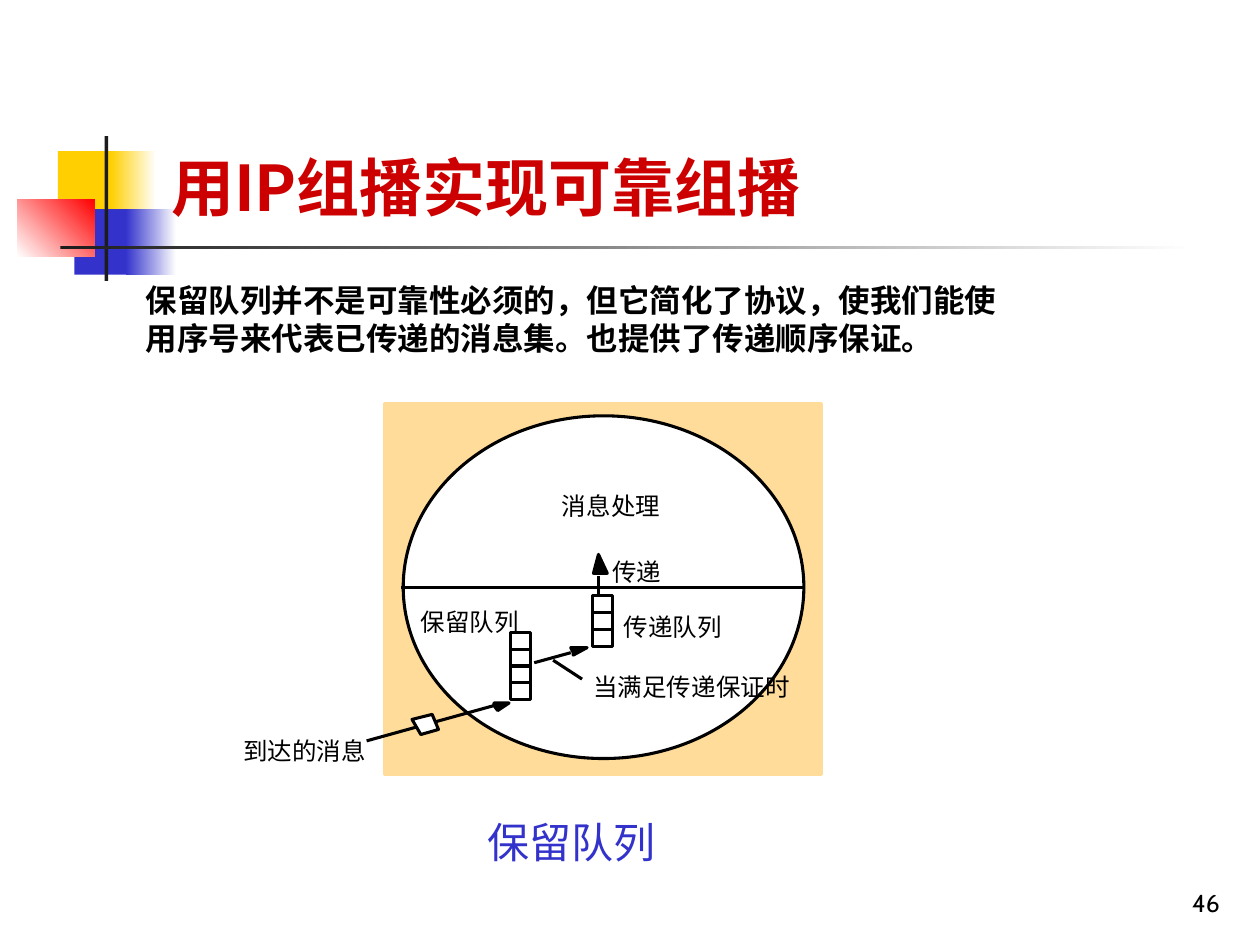
from pptx import Presentation
from pptx.dml.color import RGBColor
from pptx.enum.shapes import MSO_CONNECTOR as Conn, MSO_SHAPE as Shape
from pptx.enum.text import MSO_ANCHOR as Anchor, PP_ALIGN as Align
from pptx.oxml.ns import qn
from pptx.util import Inches, Pt
from lxml.etree import SubElement

COLS, ROWS = 100, 75
BLACK, WHITE, INK = "000000", "FFFFFF", "1C1C1C"
YELLOW, BLUE, RED, SAND = "FFCF01", "3333CC", "FF0000", "FFDC99"


def rgb(value):
    return RGBColor.from_string(value)


class Board:
    cjk = "Noto Sans CJK JP"
    stroke = 1.75

    def __init__(self, prs):
        self.prs = prs
        self.s = prs.slides.add_slide(prs.slide_layouts[6])

    def x(self, col):
        return round(self.prs.slide_width * col / COLS)

    def y(self, row):
        return round(self.prs.slide_height * row / ROWS)

    def box(self, at):
        return self.x(at[0]), self.y(at[1]), self.x(at[2]), self.y(at[3])

    def paint(self, sp, fill, line):
        sp.shadow.inherit = False
        if fill:
            sp.fill.solid()
            sp.fill.fore_color.rgb = rgb(fill)
        else:
            sp.fill.background()
        if line:
            sp.line.color.rgb = rgb(line)
            sp.line.width = Pt(self.stroke)
        else:
            sp.line.fill.background()
        return sp

    def shape(self, at, fill=None, line=None, kind=Shape.RECTANGLE):
        return self.paint(self.s.shapes.add_shape(kind, *self.box(at)), fill, line)

    def fade(self, at, start, end, angle=0):
        sp = self.shape(at)
        sp.fill.gradient()
        sp.fill.gradient_angle = angle
        for stop, place, color in zip(sp.fill.gradient_stops, (0, 1), (start, end)):
            stop.position = place
            stop.color.rgb = rgb(color)

    def line(self, start, end):
        c = self.s.shapes.add_connector(
            Conn.STRAIGHT, self.x(start[0]), self.y(start[1]), self.x(end[0]), self.y(end[1]))
        c.line.color.rgb = rgb(BLACK)
        c.line.width = Pt(self.stroke)
        SubElement(c._element.spPr, qn("a:effectLst"))

    def outline(self, points, fill):
        dots = [(self.x(col), self.y(row)) for col, row in points]
        fb = self.s.shapes.build_freeform(*dots[0])
        fb.add_line_segments(dots[1:], close=True)
        self.paint(fb.convert_to_shape(), fill, BLACK)

    def queue(self, col, row, count, pitch=1.33):
        for i in range(count):
            self.shape((col, row + i * pitch, 1.6, pitch), line=BLACK)

    def text(self, at, words, size, font, color=BLACK, bold=False, wrap=True,
             inset=(1, 0.5), anchor=Anchor.TOP, align=Align.LEFT, before=0):
        tf = self.s.shapes.add_textbox(*self.box(at)).text_frame
        tf.word_wrap = wrap
        tf.vertical_anchor = anchor
        tf.margin_left = tf.margin_right = self.x(inset[0])
        tf.margin_top = tf.margin_bottom = self.y(inset[1])
        p = tf.paragraphs[0]
        p.alignment = align
        p.space_before = Pt(before)
        r = p.add_run()
        r.text = words
        r.font.size = Pt(size)
        r.font.name = font
        r.font.bold = bold
        r.font.color.rgb = rgb(color)
        SubElement(r.font._element, qn("a:ea")).set("typeface", self.cjk)
        return p

    def label(self, col, row, width, words):
        self.text((col, row, width, 2.3), words, 14, "Arial", wrap=False, inset=(0, 0))


def draw_ornament(b):
    b.shape((4.6, 12, 4.8, 5.2), YELLOW)
    b.fade((8.8, 12, 3.6, 5.2), YELLOW, WHITE)
    b.shape((5.9, 16.6, 4.6, 5.2), BLUE)
    b.fade((10, 16.6, 4, 5.2), BLUE, WHITE)
    b.fade((1.4, 15.8, 6.1, 4.6), WHITE, RED, 45)
    b.shape((8.3, 10.8, 0.3, 11.5), INK)
    b.fade((4.8, 19.5, 90, 0.3), INK, WHITE)


def draw_diagram(b):
    b.shape((30.5, 32, 34.7, 29.5), SAND, SAND)
    b.shape((32, 33, 31.8, 27.2), WHITE, BLACK, Shape.OVAL)
    for start, end in (((31.8, 46.6), (63.9, 46.6)),
                       ((42.4, 52.6), (45.3, 51.8)),
                       ((29.1, 58.8), (39.2, 56)),
                       ((47.5, 47.2), (47.5, 45.7)),
                       ((43.9, 52.4), (46.2, 53.9))):
        b.line(start, end)
    for points, fill in (
            (((45.5, 51.8), (45.3, 51.4), (46.6, 51.4), (45.5, 52)), BLACK),
            (((39.2, 56), (39.2, 55.8), (40.4, 55.8), (39.5, 56.4)), BLACK),
            (((47.1, 45.5), (47.5, 44), (48.2, 45.5)), BLACK),
            (((32.7, 57.1), (34.3, 56.7), (34.8, 57.9), (33.4, 58.3)), WHITE)):
        b.outline(points, fill)
    b.queue(47, 47.3, 3)
    b.queue(40.5, 50.2, 4)
    for col, row, width, words in ((44.6, 39, 7.8, "消息处理"),
                                   (48.6, 44.2, 3.9, "传递"),
                                   (49.5, 48.6, 7.8, "传递队列"),
                                   (33.4, 48.2, 7.8, "保留队列"),
                                   (47.1, 53.3, 16, "当满足传递保证时"),
                                   (19.3, 58.4, 9.8, "到达的消息")):
        b.label(col, row, width, words)


def main():
    prs = Presentation()
    prs.slide_width, prs.slide_height = Inches(10), Inches(7.5)
    b = Board(prs)
    draw_ornament(b)
    b.text((77, 68.3, 20.8, 5), "46", 14, "Cabin", anchor=Anchor.BOTTOM, align=Align.RIGHT)
    b.text((12.6, 2.3, 85.2, 16), "用IP组播实现可靠组播", 36, b.cjk, "CC0000", True,
           anchor=Anchor.BOTTOM)
    p = b.text((32.7, 64.3, 25.2, 6.3), "保留队列", 24, "Times New Roman", BLUE, before=6)
    pPr = p._p.get_or_add_pPr()
    pPr.set("marL", str(Inches(0.81)))
    pPr.set("indent", str(Inches(-0.31)))
    draw_diagram(b)
    b.text((10.6, 21.8, 71.3, 7),
           "保留队列并不是可靠性必须的，但它简化了协议，使我们能使用序号来代表已传递的消息集。也提供了传递顺序保证。",
           18, "Cabin", bold=True)
    prs.save("out.pptx")


if __name__ == "__main__":
    main()
